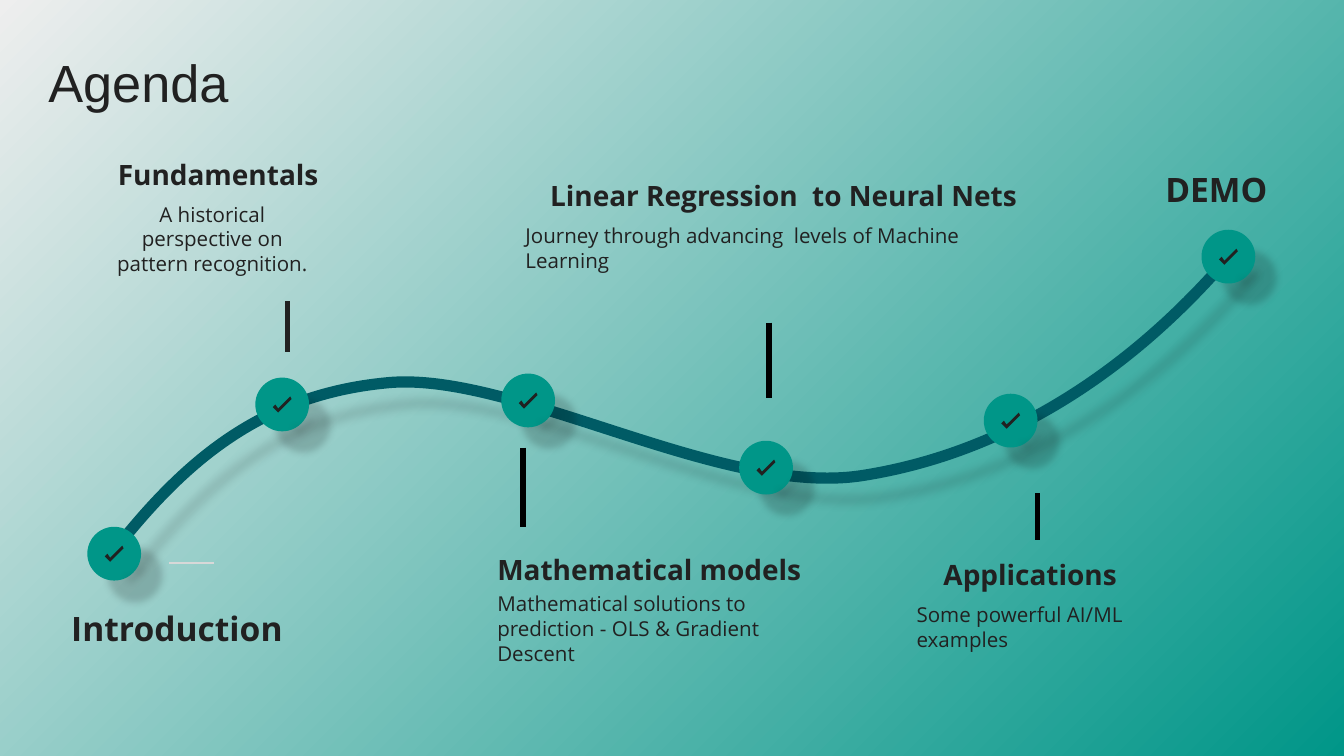
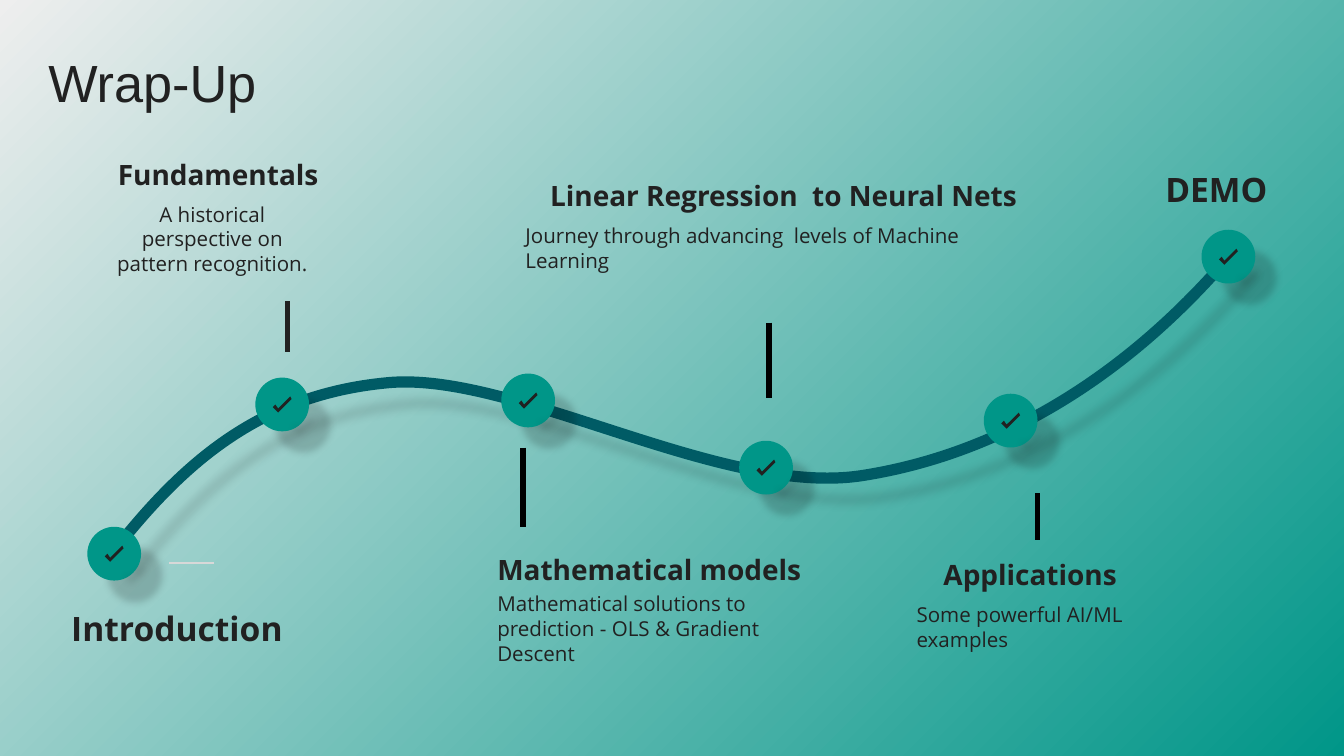
from lxml.etree import SubElement
from pptx import Presentation
from pptx.dml.color import RGBColor
from pptx.enum.shapes import MSO_CONNECTOR as CONN, MSO_SHAPE as SHAPE
from pptx.enum.text import MSO_ANCHOR as ANCHOR, MSO_AUTO_SIZE as AUTO, PP_ALIGN as ALIGN
from pptx.oxml.ns import qn
from pptx.util import Inches, Pt

TEAL, PALE, DEEP = "009688", "EEEEEE", "005B65"
INK, BLACK, GREY = "212121", "000000", "D8D8D8"
LEFT, CENTER, RIGHT = ALIGN.LEFT, ALIGN.CENTER, ALIGN.RIGHT

TITLES = ["Agenda", "Wrap-Up"]
ROAD = [(0.84, 4.11), (1.38, 3.42), (1.95, 2.94), (2.87, 2.85), (3.8, 2.75),
        (5.36, 3.7), (6.41, 3.54), (7.45, 3.38), (8.4, 2.79), (9.17, 1.88)]
CHECK = [(0.17, 0.23), (0.15, 0.2), (0.13, 0.22), (0.17, 0.26), (0.27, 0.16), (0.26, 0.14)]
MILESTONES = [(0.65, 3.92), (1.9, 2.81), (3.73, 2.78), (5.5, 3.28), (7.32, 2.93), (8.94, 1.71)]
TICKS = [
    ((5.72, 2.4), (5.72, 2.96), BLACK, 3),
    ((3.89, 3.33), (3.89, 3.92), BLACK, 3),
    ((2.14, 2.24), (2.14, 2.62), INK, 3),
    ((7.72, 3.67), (7.72, 4.02), BLACK, 3),
    ((1.26, 4.19), (1.59, 4.19), GREY, 0.75),
]
TOPICS = [
    ("Fundamentals", (0.79, 1.13, 1.58, 0.33), RIGHT,
     "A historical perspective on pattern recognition.", (0.79, 1.46, 1.58, 0.61), CENTER),
    ("Mathematical models", (3.7, 4.07, 2.29, 0.33), LEFT,
     "Mathematical solutions to prediction - OLS & Gradient Descent",
     (3.7, 4.36, 2.29, 0.47), LEFT),
    ("Linear Regression  to Neural Nets", (3.91, 1.29, 3.66, 0.33), RIGHT,
     "Journey through advancing  levels of Machine Learning", (3.91, 1.62, 3.66, 0.43), LEFT),
    ("Applications", (7.02, 4.11, 1.59, 0.33), LEFT,
     "Some powerful AI/ML examples", (6.82, 4.44, 1.8, 0.56), LEFT),
]
ENDS = [
    ("Introduction", (0.46, 4.48, 2.12, 0.38), LEFT),
    ("DEMO", (8.38, 1.22, 1.12, 0.38), RIGHT),
]


def rgb(color):
    return RGBColor.from_string(color)


def inches(values):
    return [Inches(v) for v in values]


class Deck:
    """Holds the shared style and the current slide."""

    def __init__(self):
        self.prs = Presentation()
        self.prs.slide_width, self.prs.slide_height = Inches(10), Inches(5.625)
        fill = self.prs.slide_master.background.fill
        fill.gradient()
        fill.gradient_angle = 135
        for stop, color in zip(fill.gradient_stops, (TEAL, PALE)):
            stop.color.rgb = rgb(color)

    def add_slide(self, title):
        self.slide = self.prs.slides.add_slide(self.prs.slide_layouts[5])
        self.shapes = self.slide.shapes
        sp = self.shapes.title
        sp.left, sp.top, sp.width, sp.height = inches((0.26, 0.37, 6.99, 0.47))
        self.set_text(sp, title, 28, font="Arial", anchor=ANCHOR.MIDDLE, pad=(0.1, 0.05))

    def set_text(self, sp, text, size, bold=False, align=LEFT, font="Open Sans",
                 anchor=ANCHOR.TOP, pad=(0, 0.04)):
        tf = sp.text_frame
        side, edge = inches(pad)
        frame = {"word_wrap": True, "auto_size": AUTO.NONE, "vertical_anchor": anchor,
                 "margin_left": side, "margin_right": side,
                 "margin_top": edge, "margin_bottom": edge}
        for name, value in frame.items():
            setattr(tf, name, value)
        p = tf.paragraphs[0]
        p.alignment = align
        r = p.add_run()
        r.text = text
        for name, value in {"name": font, "size": Pt(size), "bold": bold}.items():
            setattr(r.font, name, value)
        r.font.color.rgb = rgb(INK)

    def text(self, box, text, size, shapes=None, **style):
        sp = (shapes or self.shapes).add_textbox(*inches(box))
        self.set_text(sp, text, size, **style)

    def topic(self, head, head_box, head_align, body, body_box, body_align):
        shapes = self.shapes.add_group_shape().shapes
        self.text(body_box, body, 11, shapes, align=body_align)
        self.text(head_box, head, 15, shapes, bold=True, align=head_align, anchor=ANCHOR.MIDDLE)

    def shadow(self, sp, alpha):
        sp.shadow.inherit = False
        effects = sp._element.spPr.find(qn("a:effectLst"))
        shade = SubElement(effects, qn("a:outerShdw"), blurRad=str(Pt(4)), dist=str(Pt(16)),
                           dir=str(45 * 60000), algn="tl", rotWithShape="0")
        color = SubElement(shade, qn("a:srgbClr"), val=BLACK)
        SubElement(color, qn("a:alpha"), val=str(alpha * 1000))

    def fill(self, sp, color):
        sp.fill.solid()
        sp.fill.fore_color.rgb = rgb(color)
        sp.line.fill.background()
        self.shadow(sp, 16)

    def outline(self, shapes, points, close):
        start, *rest = [inches(point) for point in points]
        builder = shapes.build_freeform(*start)
        builder.add_line_segments(rest, close=close)
        return builder.convert_to_shape()

    def curve(self, points, color, width):
        sp = self.outline(self.shapes, points, False)
        lines = list(sp._element.iter(qn("a:lnTo")))
        for i in range(0, len(lines), 3):
            bezier = SubElement(lines[i].getparent(), qn("a:cubicBezTo"))
            for line in lines[i:i + 3]:
                bezier.append(line[0])
                line.getparent().remove(line)
        sp.fill.background()
        sp.line.color.rgb = rgb(color)
        sp.line.width = Pt(width)
        self.shadow(sp, 9)

    def milestone(self, x, y):
        shapes = self.shapes.add_group_shape().shapes
        self.fill(shapes.add_shape(SHAPE.OVAL, *inches((x, y, 0.4, 0.4))), TEAL)
        check = [(x + dx, y + dy) for dx, dy in CHECK]
        self.fill(self.outline(shapes, check, True), INK)

    def line(self, start, end, color, width):
        cx = self.shapes.add_connector(CONN.STRAIGHT, *inches(start + end))
        cx.line.color.rgb = rgb(color)
        cx.line.width = Pt(width)
        SubElement(cx._element.spPr, qn("a:effectLst"))


def main():
    deck = Deck()
    for title in TITLES:
        deck.add_slide(title)
        deck.curve(ROAD, DEEP, 6)
        for spot in MILESTONES:
            deck.milestone(*spot)
        for topic in TOPICS:
            deck.topic(*topic)
        for tick in TICKS:
            deck.line(*tick)
        for text, box, align in ENDS:
            deck.text(box, text, 18, bold=True, align=align, pad=(0.07, 0.04))
    deck.prs.save("out.pptx")


if __name__ == "__main__":
    main()
